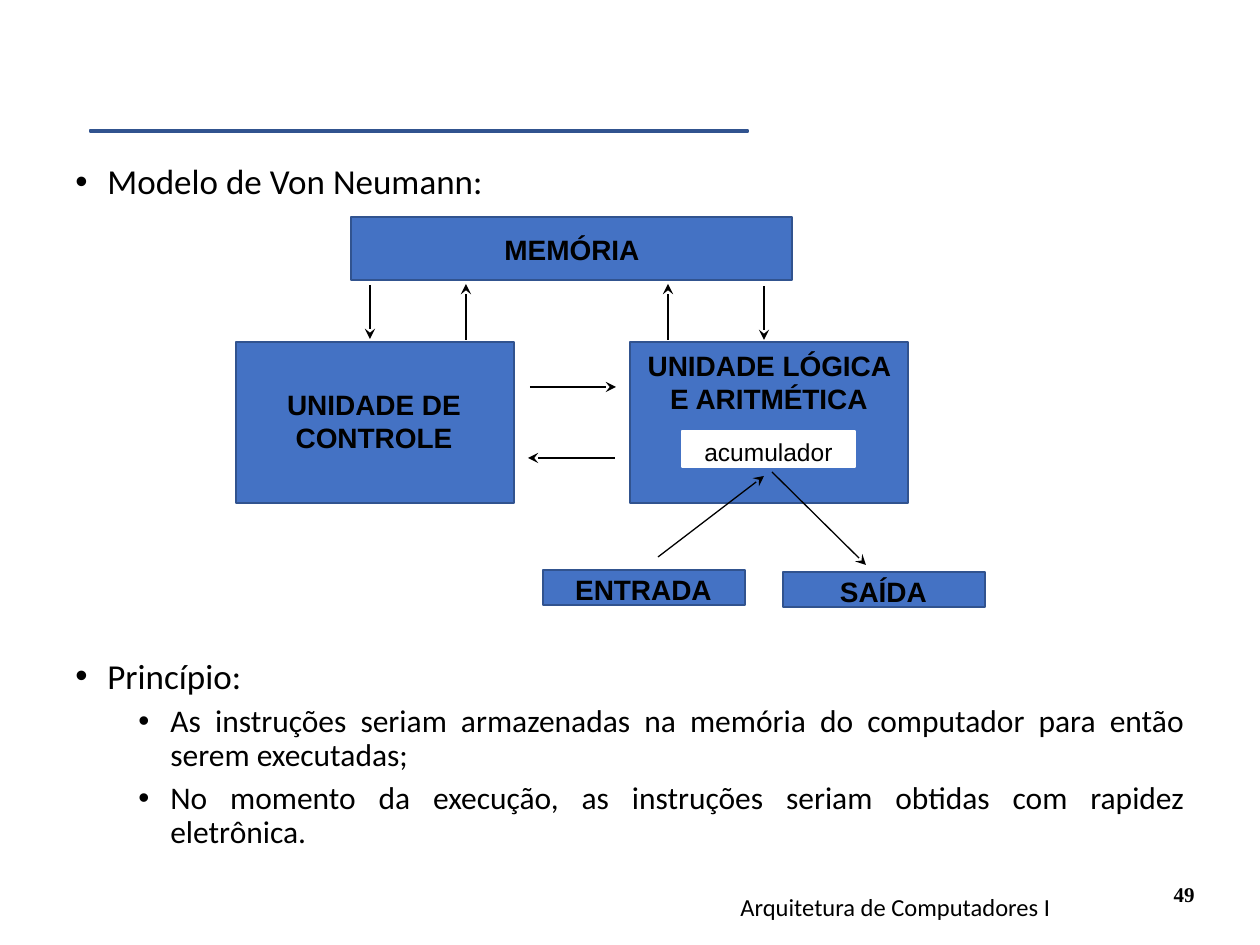
from lxml.etree import SubElement
from pptx import Presentation
from pptx.dml.color import RGBColor
from pptx.enum.shapes import MSO_CONNECTOR, MSO_SHAPE
from pptx.enum.text import MSO_ANCHOR, PP_ALIGN
from pptx.oxml.ns import qn
from pptx.util import Emu, Pt

PX_PER_INCH = 126
COLORS = {"blue": "4472C4", "edge": "31538F", "white": "FFFFFF", "black": "000000"}

# level, text, points of space before
BULLETS = [
    (0, "Modelo de Von Neumann:", 0),
    (0, "Princípio:", 261),
    (1, "As instruções seriam armazenadas na memória do computador para então "
        "serem executadas;", 5),
    (1, "No momento da execução, as instruções seriam obtidas com rapidez eletrônica.", 5),
]
# size in points, left margin, hanging indent
LEVELS = [(20, 32, 32), (18, 95, 32)]
BODY = (63, 158, 1134, 624)

# label, box, label area, fill, edge, size, bold
UNITS = [
    ("MEMÓRIA", (351, 217, 441, 63), (476, 226, 192, 47), "blue", "edge", 16, True),
    ("UNIDADE DE CONTROLE", (236, 342, 278, 161), (262, 381, 224, 81),
     "blue", "edge", 16, True),
    ("UNIDADE LÓGICA E ARITMÉTICA", (630, 342, 278, 161), (630, 342, 278, 81),
     "blue", "edge", 16, True),
    ("acumulador", (682, 431, 173, 36), (687, 431, 163, 43), "white", "white", 14, False),
    ("ENTRADA", (543, 570, 202, 35), (562, 566, 163, 47), "blue", "edge", 16, True),
    ("SAÍDA", (783, 572, 202, 35), (802, 568, 163, 47), "blue", "edge", 16, True),
]
ARROWS = [
    (370, 285, 370, 339), (764, 286, 764, 340),
    (466, 340, 466, 284), (668, 340, 668, 284),
    (530, 387, 616, 387), (615, 458, 528, 458),
    (658, 557, 764, 476), (772, 472, 866, 565),
]
RULE = (-29, 128, 896, 6)
PAGE_NUMBER = ("49", (882, 850, 325, 63))
FOOTER = ("Arquitetura de Computadores I", (616, 886, 559, 59))


def px(*lengths):
    return [Emu(round(length * 914400 / PX_PER_INCH)) for length in lengths]


def color(name):
    return RGBColor.from_string(COLORS[name])


def add_box(page, kind, area, fill, edge):
    box = page.shapes.add_shape(kind, *px(*area))
    box.shadow.inherit = False
    box.fill.solid()
    box.fill.fore_color.rgb = color(fill)
    box.line.color.rgb = color(edge)
    box.line.width = Pt(1)
    return box


def add_frame(page, area):
    frame = page.shapes.add_textbox(*px(*area)).text_frame
    frame.word_wrap = True
    return frame


def add_span(para, text, font, size, bold=False):
    span = para.add_run()
    span.text = text
    span.font.name = font
    span.font.size = Pt(size)
    span.font.bold = bold
    span.font.color.rgb = color("black")


def add_label(page, text, area, font, size, bold=False, align=PP_ALIGN.CENTER):
    frame = add_frame(page, area)
    para = frame.paragraphs[0]
    para.alignment = align
    add_span(para, text, font, size, bold)
    return frame


def add_bullets(page):
    frame = add_frame(page, BODY)
    for index, (level, text, before) in enumerate(BULLETS):
        para = frame.add_paragraph() if index else frame.paragraphs[0]
        size, margin, hanging = LEVELS[level]
        para.level = level
        para.alignment = PP_ALIGN.JUSTIFY
        para.line_spacing = 0.9
        para.space_before = Pt(before)
        add_span(para, text, "Calibri", size)
        left, indent = px(margin, -hanging)
        props = para._p.get_or_add_pPr()
        props.set("marL", str(left))
        props.set("indent", str(indent))
        SubElement(props, qn("a:buFont"), typeface="Arial")
        SubElement(props, qn("a:buChar"), char="•")


def add_arrow(page, ends):
    arrow = page.shapes.add_connector(MSO_CONNECTOR.STRAIGHT, *px(*ends))
    arrow.line.color.rgb = color("black")
    arrow.line.width = Pt(0.75)
    SubElement(arrow.line._get_or_add_ln(), qn("a:tailEnd"), type="stealth")
    SubElement(arrow._element.spPr, qn("a:effectLst"))


def main():
    deck = Presentation()
    deck.slide_width, deck.slide_height = px(1260, 945)
    page = deck.slides.add_slide(deck.slide_layouts[6])

    add_bullets(page)
    number = add_label(page, *PAGE_NUMBER, "Times New Roman", 12, True, PP_ALIGN.RIGHT)
    number.vertical_anchor = MSO_ANCHOR.BOTTOM
    rule = add_box(page, MSO_SHAPE.MATH_MINUS, RULE, "blue", "edge")
    rule.adjustments[0] = 0.24

    for text, area, label_area, fill, edge, size, bold in UNITS:
        add_box(page, MSO_SHAPE.RECTANGLE, area, fill, edge)
        add_label(page, text, label_area, "Arial", size, bold)
    for ends in ARROWS:
        add_arrow(page, ends)
    add_label(page, *FOOTER, "Calibri", 14)

    deck.save("out.pptx")


if __name__ == "__main__":
    main()
